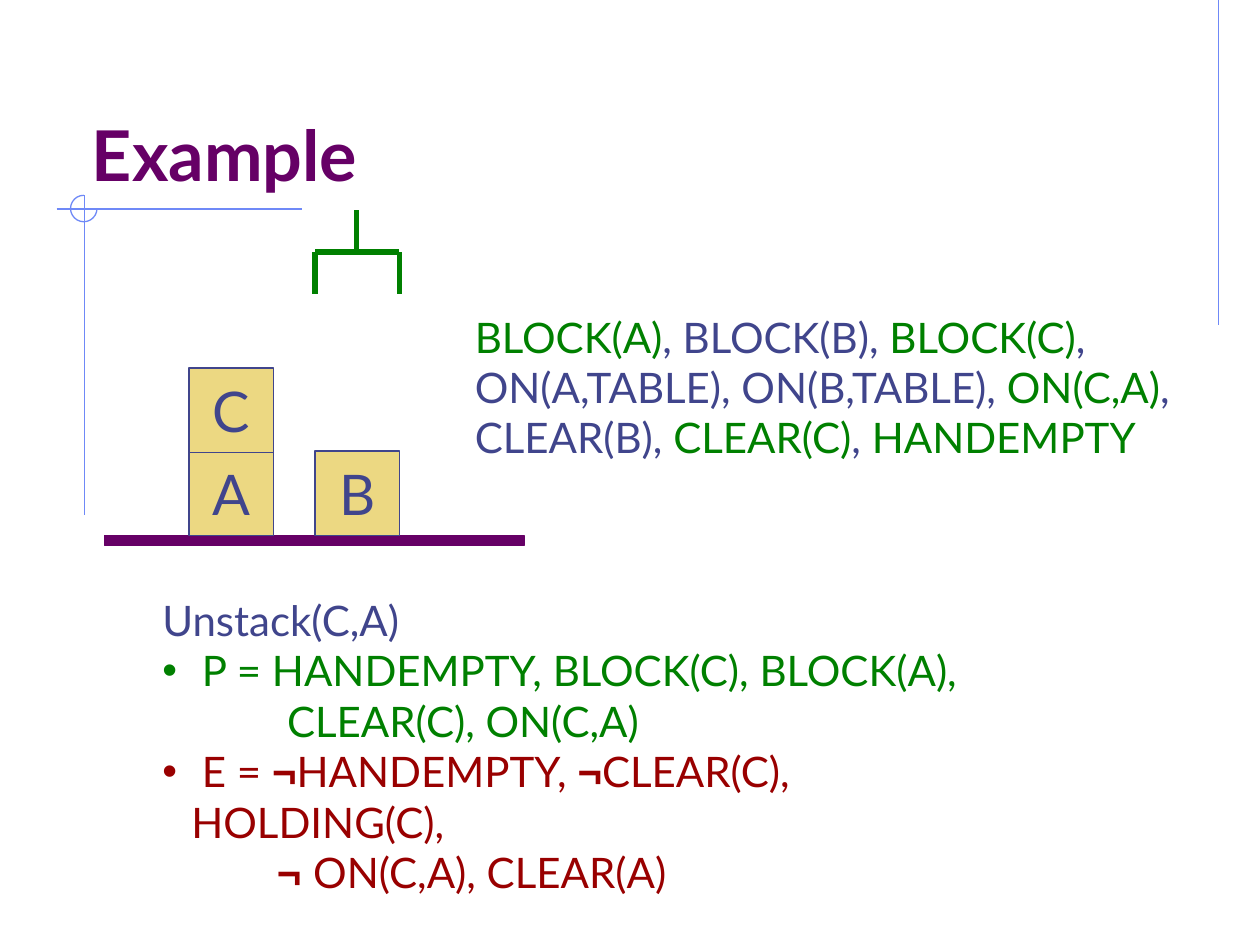
from lxml import etree
from pptx import Presentation
from pptx.dml.color import RGBColor
from pptx.enum.shapes import MSO_CONNECTOR, MSO_SHAPE
from pptx.enum.text import MSO_ANCHOR, PP_ALIGN
from pptx.oxml.ns import qn
from pptx.util import Inches, Pt

PURPLE, INDIGO, GREEN, RED = "660066", "40458C", "008000", "990000"
SAND, RULE_BLUE = "ECD882", "6F89F7"


def color(hex_string):
    return RGBColor.from_string(hex_string)


def style_run(run, size, hex_string, name="Lato", bold=False):
    run.font.size = Pt(size)
    run.font.color.rgb = color(hex_string)
    run.font.name = name
    run.font.bold = bold


presentation = Presentation()
presentation.slide_width = Inches(10)
presentation.slide_height = Inches(7.5)
slide = presentation.slides.add_slide(presentation.slide_layouts[5])
shapes = slide.shapes

# Title
title = shapes.title
title.left, title.top = Inches(0.67), Inches(0.33)
title.width, title.height = Inches(8.5), Inches(1.25)
frame = title.text_frame
frame.text = "Example"
frame.vertical_anchor = MSO_ANCHOR.BOTTOM
frame.margin_left, frame.margin_bottom = Inches(0.06), Inches(0.03)
frame.paragraphs[0].alignment = PP_ALIGN.LEFT
style_run(frame.paragraphs[0].runs[0], 40, PURPLE, bold=True)

# Decorative rules and robot hand: x1, y1, x2, y2, colour, width
hand_left, hand_middle, hand_right = 2.5, 2.83, 3.17
lines = [
    (9.67, 0, 9.67, 2.58, RULE_BLUE, 0.75),
    (0.45, 1.66, 2.4, 1.66, RULE_BLUE, 0.75),
    (0.67, 1.55, 0.67, 4.09, RULE_BLUE, 0.75),
    (hand_left, 2, hand_right, 2, GREEN, 3),
    (hand_left, 2, hand_left, 2.33, GREEN, 3),
    (hand_middle, 1.67, hand_middle, 2, GREEN, 3),
    (hand_right, 2, hand_right, 2.33, GREEN, 3),
]
for x1, y1, x2, y2, hex_string, width in lines:
    line = shapes.add_connector(
        MSO_CONNECTOR.STRAIGHT, Inches(x1), Inches(y1), Inches(x2), Inches(y2))
    line.line.color.rgb = color(hex_string)
    line.line.width = Pt(width)
    etree.SubElement(line._element.spPr, qn("a:effectLst"))

# Three-quarter circle, from the right clockwise to the top
arc = shapes.add_shape(
    MSO_SHAPE.ARC, Inches(0.56), Inches(1.55), Inches(0.21), Inches(0.21))
arc.adjustments[0] = 0
arc.adjustments[1] = 162
arc.shadow.inherit = False
arc.fill.background()
arc.line.color.rgb = color(RULE_BLUE)
arc.line.width = Pt(0.75)

# Table top and blocks: label, left, top, width, height, fill, line
side = 0.67
rectangles = [
    ("", 0.83, 4.25, 3.33, 0.08, PURPLE, PURPLE),
    ("A", 1.5, 3.58, side, side, SAND, INDIGO),
    ("B", 2.5, 3.58, side, side, SAND, INDIGO),
    ("C", 1.5, 2.92, side, side, SAND, INDIGO),
]
for label, left, top, width, height, fill, outline in rectangles:
    block = shapes.add_shape(
        MSO_SHAPE.RECTANGLE, Inches(left), Inches(top), Inches(width), Inches(height))
    block.shadow.inherit = False
    block.fill.solid()
    block.fill.fore_color.rgb = color(fill)
    block.line.color.rgb = color(outline)
    block.line.width = Pt(0.75)
    if label:
        block.text_frame.text = label
        block.text_frame.word_wrap = False
        block.text_frame.vertical_anchor = MSO_ANCHOR.MIDDLE
        paragraph = block.text_frame.paragraphs[0]
        paragraph.alignment = PP_ALIGN.CENTER
        style_run(paragraph.runs[0], 32, INDIGO)

# Each paragraph: left margin, bullet colour or None, runs of (text, colour)
action = [
    (0, None, [("Unstack(C,A)", INDIGO)]),
    (0.23, GREEN, [(" P = HANDEMPTY, BLOCK(C), BLOCK(A),", GREEN)]),
    (0.99, None, [("CLEAR(C), ON(C,A)", GREEN)]),
    (0.23, RED, [(" E = ", RED), ("¬", RED), ("HANDEMPTY, ", RED), ("¬", RED),
                 ("CLEAR(C), HOLDING(C),", RED)]),
    (0.91, None, [("¬ ", RED), ("ON(C,A), CLEAR(A)", RED)]),
]
state = [
    (0, None, [("BLOCK(A)", GREEN), (", BLOCK(B), ", INDIGO),
               ("BLOCK(C)", GREEN), (",", INDIGO)]),
    (0, None, [("ON(A,TABLE), ON(B,TABLE), ", INDIGO), ("ON(C,A)", GREEN),
               (",", INDIGO)]),
    (0, None, [("CLEAR(B), ", INDIGO), ("CLEAR(C)", GREEN), (", ", INDIGO),
               ("HANDEMPTY", GREEN)]),
]
for left, top, width, height, content in [
        (1.19, 4.67, 7.2, 2.1, action), (3.67, 2.42, 5.94, 1.3, state)]:
    frame = shapes.add_textbox(
        Inches(left), Inches(top), Inches(width), Inches(height)).text_frame
    frame.word_wrap = True
    for index, (margin, bullet, runs) in enumerate(content):
        paragraph = frame.add_paragraph() if index else frame.paragraphs[0]
        properties = paragraph._p.get_or_add_pPr()
        properties.set("marL", str(Inches(margin)))
        if bullet:
            properties.set("indent", str(-Inches(margin)))
            bullet_color = etree.SubElement(properties, qn("a:buClr"))
            etree.SubElement(bullet_color, qn("a:srgbClr"), val=bullet)
            etree.SubElement(properties, qn("a:buFont"), typeface="Arial")
            etree.SubElement(properties, qn("a:buChar"), char="•")
        for text, hex_string in runs:
            run = paragraph.add_run()
            run.text = text
            negation = text.startswith("¬")
            style_run(run, 24, hex_string, "Arial" if negation else "Lato", negation)

presentation.save("out.pptx")
